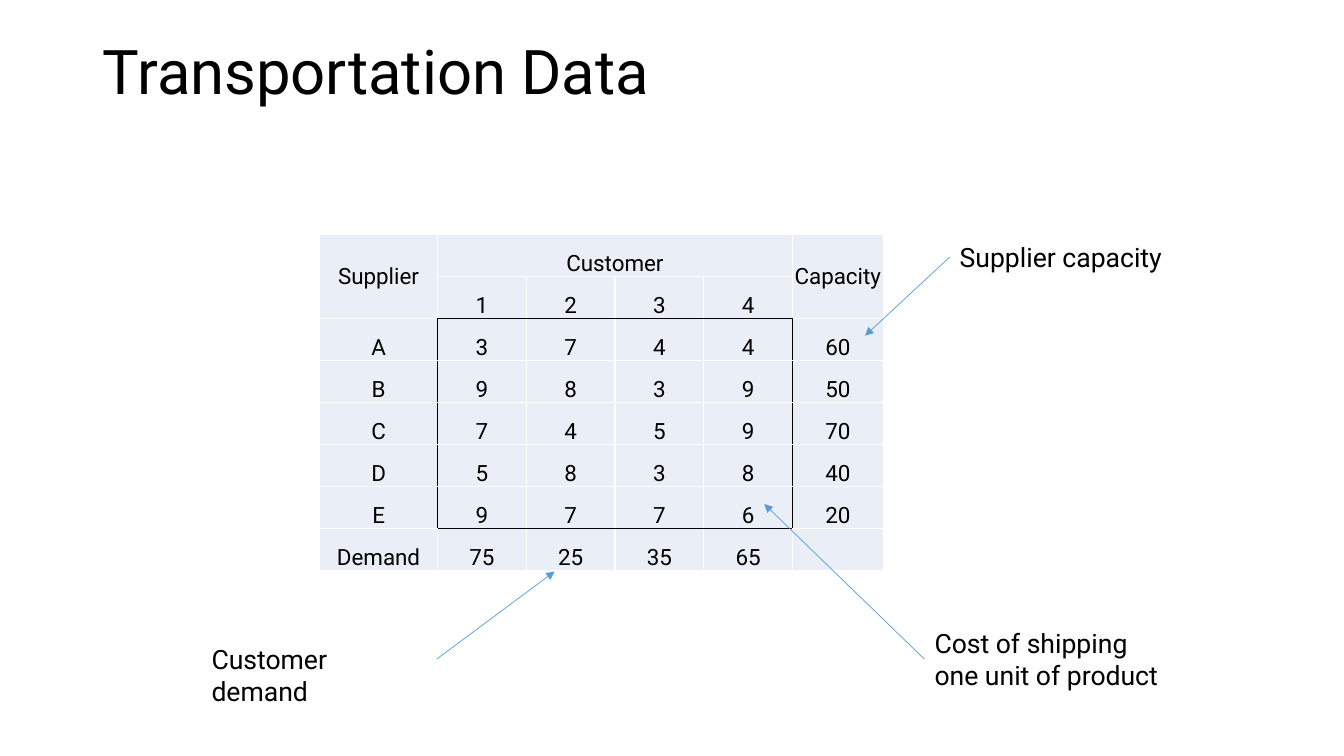
from dataclasses import dataclass

from lxml import etree
from pptx import Presentation
from pptx.dml.color import RGBColor
from pptx.enum.shapes import MSO_CONNECTOR
from pptx.enum.text import MSO_ANCHOR, MSO_AUTO_SIZE, PP_ALIGN
from pptx.oxml.ns import qn
from pptx.util import Inches, Pt

STRAIGHT = MSO_CONNECTOR.STRAIGHT
MIDDLE, BOTTOM = MSO_ANCHOR.MIDDLE, MSO_ANCHOR.BOTTOM
LEFT, CENTER = PP_ALIGN.LEFT, PP_ALIGN.CENTER
GROW, FIXED = MSO_AUTO_SIZE.SHAPE_TO_FIT_TEXT, MSO_AUTO_SIZE.NONE
TITLE_ONLY = 5


@dataclass(frozen=True)
class Theme:
    font: str = "Roboto"
    ink: str = "000000"
    cell: str = "EAEFF7"
    grid: str = "FFFFFF"
    arrow: str = "5B9BD5"
    title_size: int = 44
    table_size: int = 16
    label_size: int = 19
    border: int = 1
    arrow_width: float = 0.5


SUPPLIERS = [
    ["Supplier", "Customer", "", "", "", "Capacity"],
    ["", "1", "2", "3", "4", ""],
    ["A", "3", "7", "4", "4", "60"],
    ["B", "9", "8", "3", "9", "50"],
    ["C", "7", "4", "5", "9", "70"],
    ["D", "5", "8", "3", "8", "40"],
    ["E", "9", "7", "7", "6", "20"],
    ["Demand", "75", "25", "35", "65", ""],
]
COLUMN_WIDTHS = [1.17] + [0.88] * 4 + [0.9]
TABLE_HEIGHT = 3.33
HEADER_MERGES = [((0, 0), (1, 0)), ((0, 1), (0, 4)), ((0, 5), (1, 5))]
EDGES = {"lnL": (0, -1), "lnR": (0, 1), "lnT": (-1, 0), "lnB": (1, 0)}
CALLOUTS = [
    ("Cost of shipping one unit of product", (9.17, 6.17, 2.58, 0.74), (9.17, 6.54), (7.58, 5)),
    ("Supplier capacity", (9.42, 2.34, 2.58, 0.42), (9.42, 2.55), (8.58, 3.33)),
    ("Customer demand", (2, 6.33, 2.33, 0.42), (4.33, 6.54), (5.5, 5.67)),
]


def apply(target, values):
    for name, value in values.items():
        setattr(target, name, value)


def is_cost(row, column):
    return 2 <= row <= 6 and 1 <= column <= 4


class SlideBuilder:
    def __init__(self, slide, theme):
        self.slide = slide
        self.theme = theme

    def set_text(self, frame, text, size, align):
        frame.text = text
        paragraph = frame.paragraphs[0]
        paragraph.alignment = align
        run_font = paragraph.runs[0].font
        apply(run_font, {"name": self.theme.font, "size": Pt(size)})
        run_font.color.rgb = RGBColor.from_string(self.theme.ink)
        return paragraph

    def title(self, text, left, top, width, height):
        heading = self.slide.shapes.title
        apply(heading, {"left": Inches(left), "top": Inches(top),
                        "width": Inches(width), "height": Inches(height)})
        apply(heading.text_frame, {"vertical_anchor": MIDDLE, "word_wrap": True,
                                   "auto_size": FIXED})
        self.set_text(heading.text_frame, text, self.theme.title_size, LEFT).line_spacing = 0.9

    def label(self, text, box):
        frame = self.slide.shapes.add_textbox(*map(Inches, box)).text_frame
        apply(frame, {"word_wrap": True, "auto_size": GROW})
        self.set_text(frame, text, self.theme.label_size, LEFT)

    def arrow(self, start, end):
        pointer = self.slide.shapes.add_connector(STRAIGHT, *map(Inches, start + end))
        pointer.line.color.rgb = RGBColor.from_string(self.theme.arrow)
        pointer.line.width = Pt(self.theme.arrow_width)
        properties = pointer._element.spPr
        etree.SubElement(properties.find(qn("a:ln")), qn("a:tailEnd"), type="triangle")
        etree.SubElement(properties, qn("a:effectLst"))

    def borders(self, cell, row, column):
        properties = cell._tc.get_or_add_tcPr()
        for edge, (down, across) in EDGES.items():
            on_frame = is_cost(row, column) != is_cost(row + down, column + across)
            line = etree.SubElement(properties, qn(f"a:{edge}"), w=str(Pt(self.theme.border)))
            fill = etree.SubElement(line, qn("a:solidFill"))
            etree.SubElement(fill, qn("a:srgbClr"),
                             val=self.theme.ink if on_frame else self.theme.grid)

    def table(self, rows, widths, left, top, height):
        table = self.slide.shapes.add_table(
            len(rows), len(widths), Inches(left), Inches(top),
            Inches(sum(widths)), Inches(height)).table
        apply(table, {"first_row": False, "horz_banding": False})
        for column, width in zip(table.columns, widths):
            column.width = Inches(width)
        for first, last in HEADER_MERGES:
            table.cell(*first).merge(table.cell(*last))
        for r, values in enumerate(rows):
            for c, text in enumerate(values):
                cell = table.cell(r, c)
                tall = cell.is_merge_origin and cell.span_height > 1
                self.borders(cell, r, c)
                apply(cell, {"margin_left": Inches(0.01), "margin_right": Inches(0.01),
                             "margin_top": Inches(0.01), "margin_bottom": Inches(0),
                             "vertical_anchor": MIDDLE if tall else BOTTOM})
                cell.fill.solid()
                cell.fill.fore_color.rgb = RGBColor.from_string(self.theme.cell)
                if text:
                    self.set_text(cell.text_frame, text, self.theme.table_size, CENTER)


def main():
    deck = Presentation()
    apply(deck, {"slide_width": Inches(13.33), "slide_height": Inches(7.5)})
    builder = SlideBuilder(deck.slides.add_slide(deck.slide_layouts[TITLE_ONLY]), Theme())
    builder.title("Transportation Data", 0.92, 0.01, 11.5, 1.45)
    builder.table(SUPPLIERS, COLUMN_WIDTHS, 3.17, 2.33, TABLE_HEIGHT)
    for text, box, start, end in CALLOUTS:
        builder.label(text, box)
        builder.arrow(start, end)
    deck.save("out.pptx")


if __name__ == "__main__":
    main()
